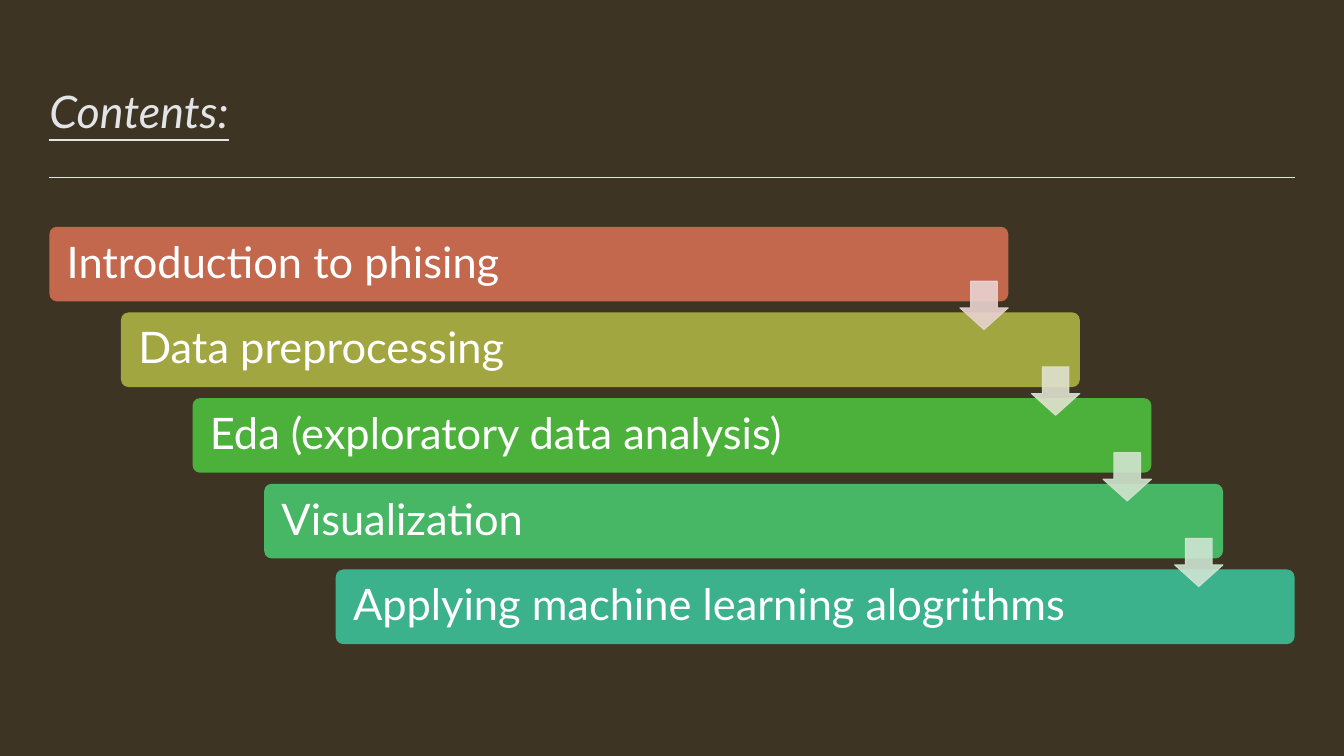
"""Build a contents slide with five descending topic bars linked by arrows."""
import pptx
import pptx.util
import pptx.dml.color
import pptx.enum.shapes
import pptx.enum.text
import pptx.oxml
import pptx.oxml.ns
import lxml.etree

Inches = pptx.util.Inches
Pt = pptx.util.Pt
RGBColor = pptx.dml.color.RGBColor
SHAPES = pptx.enum.shapes.MSO_SHAPE
ANCHOR = pptx.enum.text.MSO_ANCHOR
ALIGN = pptx.enum.text.PP_ALIGN
qn = pptx.oxml.ns.qn

BACKGROUND = RGBColor(0x3E, 0x34, 0x23)
PALE = RGBColor(0xE2, 0xE4, 0xE8)
WHITE = RGBColor(0xFF, 0xFF, 0xFF)
FONT = "Lato"

TOPICS = [
    ("Introduction to phising", RGBColor(0xC3, 0x67, 0x4D)),
    ("Data preprocessing", RGBColor(0xA1, 0xA6, 0x41)),
    ("Eda (exploratory data analysis)", RGBColor(0x4C, 0xB1, 0x3B)),
    ("Visualization", RGBColor(0x47, 0xB6, 0x65)),
    ("Applying machine learning alogrithms", RGBColor(0x3B, 0xB1, 0x8C)),
]
ARROW_COLORS = [
    RGBColor(0xE9, 0xD3, 0xD0),
    RGBColor(0xE0, 0xE1, 0xCF),
    RGBColor(0xD0, 0xE4, 0xCE),
    RGBColor(0xCF, 0xE5, 0xD3),
]
LEFT, BAR_TOP, BAR_WIDTH, BAR_HEIGHT = 0.49, 2.25, 9.51, 0.74
STEP_X, STEP_Y = 0.71, 0.85
ARROW_SIZE, ARROW_TOP = 0.48, 2.79


def add_text(frame, text, size, color, anchor, inset_x):
    frame.word_wrap = True
    frame.auto_size = pptx.enum.text.MSO_AUTO_SIZE.NONE
    frame.vertical_anchor = anchor
    frame.margin_left = frame.margin_right = Inches(inset_x)
    frame.margin_top = frame.margin_bottom = 0
    paragraph = frame.paragraphs[0]
    paragraph.alignment = ALIGN.LEFT
    paragraph.line_spacing = 0.9
    run = paragraph.add_run()
    run.text = text
    run.font.name = FONT
    run.font.size = Pt(size)
    run.font.color.rgb = color
    return run


presentation = pptx.Presentation()
presentation.slide_width = Inches(13.33)
presentation.slide_height = Inches(7.5)
slide = presentation.slides.add_slide(presentation.slide_layouts[5])
slide.background.fill.solid()
slide.background.fill.fore_color.rgb = BACKGROUND

title = slide.shapes.title
title.left, title.top = Inches(LEFT), Inches(0.43)
title.width, title.height = Inches(12.36), Inches(0.94)
heading = add_text(title.text_frame, "Contents:", 32, PALE, ANCHOR.BOTTOM, 0)
heading.font.italic = True
heading.font.underline = True

divider = slide.shapes.add_connector(
    pptx.enum.shapes.MSO_CONNECTOR.STRAIGHT,
    Inches(LEFT), Inches(1.76), Inches(12.84), Inches(1.76))
divider.line.color.rgb = PALE
divider.line.width = Pt(0.5)
lxml.etree.SubElement(divider._element.spPr, qn("a:effectLst"))

for index, (topic, color) in enumerate(TOPICS):
    bar = slide.shapes.add_shape(
        SHAPES.ROUNDED_RECTANGLE,
        Inches(LEFT + index * STEP_X), Inches(BAR_TOP + index * STEP_Y),
        Inches(BAR_WIDTH), Inches(BAR_HEIGHT))
    bar.adjustments[0] = 0.1
    bar.shadow.inherit = False
    bar.fill.solid()
    bar.fill.fore_color.rgb = color
    bar.line.fill.background()
    add_text(bar.text_frame, topic, 31, WHITE, ANCHOR.MIDDLE, 0.15)

first_arrow_left = LEFT + BAR_WIDTH - ARROW_SIZE
for index, color in enumerate(ARROW_COLORS):
    arrow = slide.shapes.add_shape(
        SHAPES.DOWN_ARROW,
        Inches(first_arrow_left + index * STEP_X), Inches(ARROW_TOP + index * STEP_Y),
        Inches(ARROW_SIZE), Inches(ARROW_SIZE))
    arrow.adjustments[0] = 0.55
    arrow.adjustments[1] = 0.45
    arrow.shadow.inherit = False
    arrow.fill.solid()
    arrow.fill.fore_color.rgb = color
    arrow.line.color.rgb = color
    arrow.line.width = Pt(0.75)
    for tint in arrow._element.spPr.iter(qn("a:srgbClr")):
        lxml.etree.SubElement(tint, qn("a:alpha"), val="90000")

presentation.save("out.pptx")
